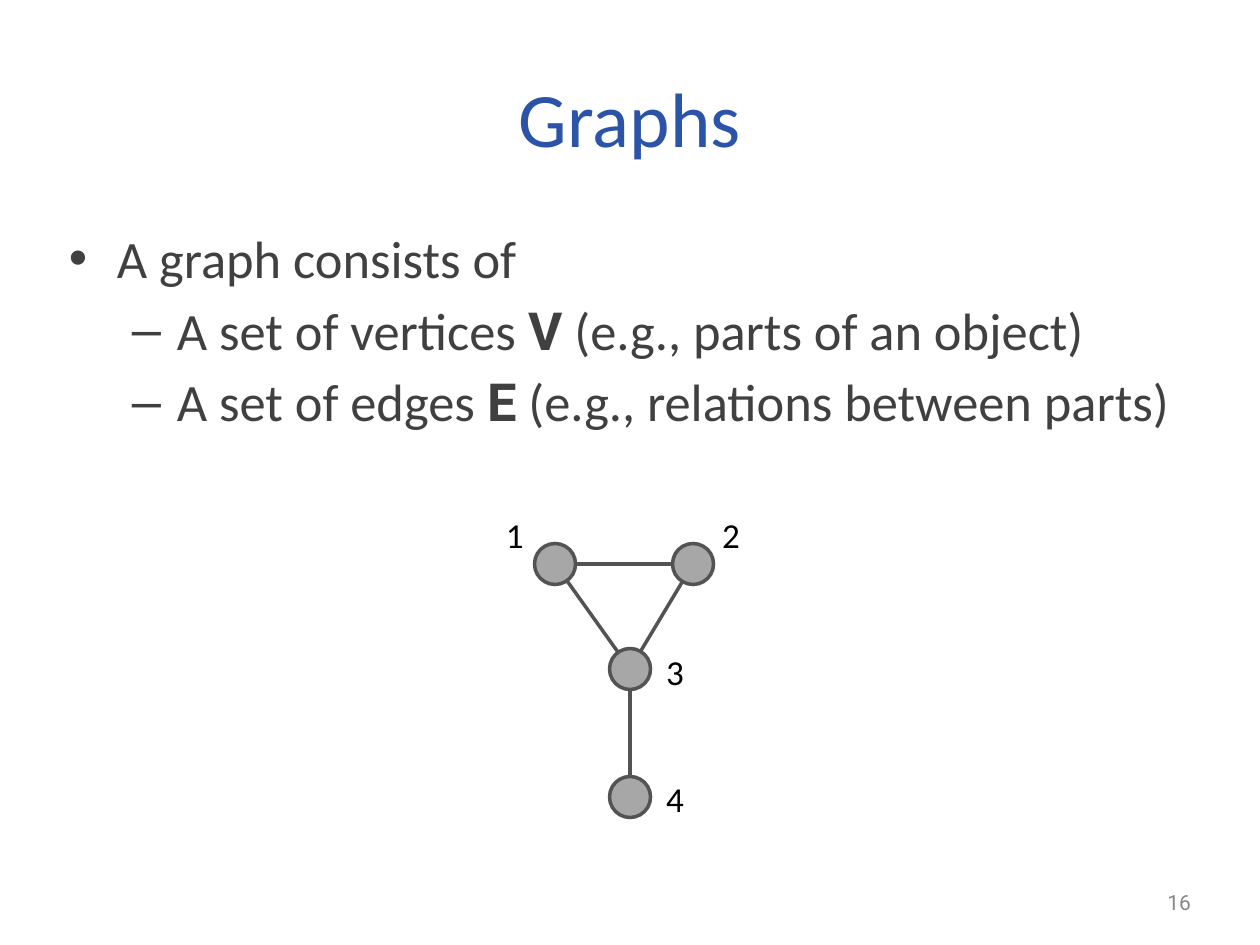
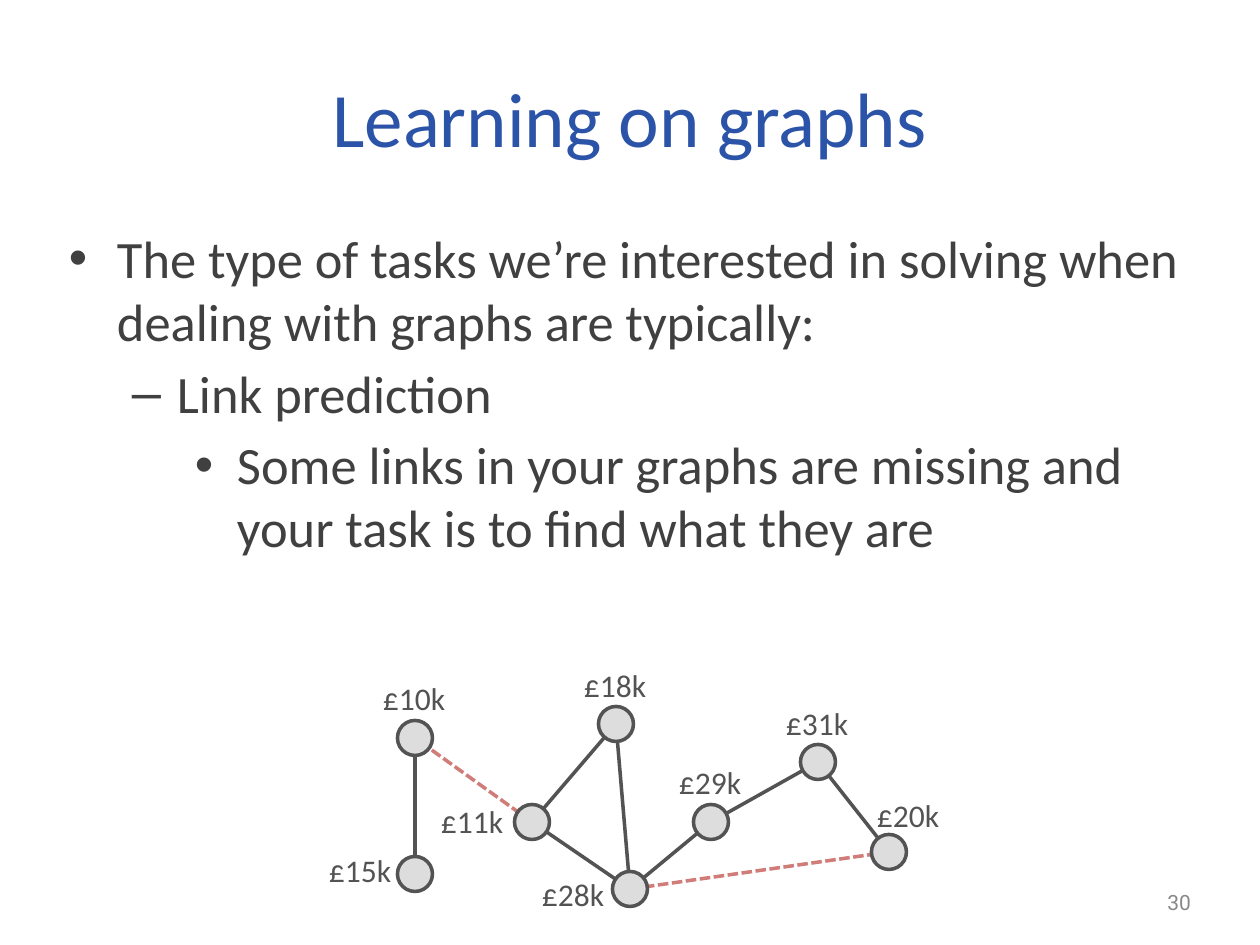
from lxml.etree import SubElement
from pptx import Presentation
from pptx.dml.color import RGBColor
from pptx.enum.dml import MSO_LINE
from pptx.enum.shapes import MSO_CONNECTOR, MSO_SHAPE
from pptx.enum.text import MSO_ANCHOR, PP_ALIGN
from pptx.oxml.ns import qn
from pptx.util import Pt

SCALE = 914400 / 126  # EMU in one px
COLORS = {
    "title": "2B53A8", "body": "404040", "page": "888888", "black": "000000",
    "edge": "535353", "missing": "D07C79", "dark": "A7A7A7", "light": "DDDDDD",
}
# bullet, left margin and hanging indent of each level
LEVELS = [("•", 48, 48), ("–", 108, 45), ("•", 168, 42)]

# nodes: label, centre x and y, label left and top
# edges: the two nodes, by label; "gaps" are the missing links
SLIDES = [
    {
        "title": "Graphs", "page": "16",
        "body": [
            (0, "A graph consists of"),
            (1, "A set of vertices *V* (e.g., parts of an object)"),
            (1, "A set of edges *E* (e.g., relations between parts)"),
        ],
        "nodes": [
            ("1", 555, 564, 500, 507), ("2", 693, 564, 716, 507),
            ("3", 630, 669, 660, 644), ("4", 630, 797, 660, 771),
        ],
        "edges": [("1", "3"), ("2", "3"), ("4", "3"), ("1", "2")],
        "gaps": [],
        "size": 41, "fill": "dark",
        "label": (32, 47, 20, "black"),
    },
    {
        "title": "Learning on graphs", "page": "30",
        "body": [
            (0, "The type of tasks we’re interested in solving when "
                "dealing with graphs are typically:"),
            (1, "Link prediction"),
            (2, "Some links in your graphs are missing and your task "
                "is to find what they are"),
        ],
        "nodes": [
            ("£10k", 415, 738, 377, 673), ("£11k", 532, 822, 435, 796),
            ("£18k", 616, 724, 578, 660), ("£29k", 711, 822, 673, 757),
            ("£31k", 818, 762, 780, 698), ("£15k", 415, 874, 323, 845),
            ("£28k", 630, 889, 536, 869), ("£20k", 889, 852, 871, 790),
        ],
        "edges": [
            ("£20k", "£31k"), ("£29k", "£31k"), ("£28k", "£18k"),
            ("£28k", "£11k"), ("£28k", "£29k"), ("£11k", "£18k"),
            ("£15k", "£10k"),
        ],
        "gaps": [("£11k", "£10k"), ("£28k", "£20k")],
        "size": 35, "fill": "light",
        "label": (77, 45, 18, "edge"),
    },
]


def px(*nums):
    """Turn px into EMU."""
    return [round(n * SCALE) for n in nums]


def add_text(slide, box, text, size, color, font="Calibri", align=PP_ALIGN.LEFT,
             anchor=MSO_ANCHOR.TOP, wrap=True):
    frame = slide.shapes.add_textbox(*px(*box)).text_frame
    frame.word_wrap = wrap
    frame.vertical_anchor = anchor
    frame.margin_left, frame.margin_top, frame.margin_right, frame.margin_bottom = px(6, 6, 6, 6)
    frame.text = text
    for par in frame.paragraphs:
        par.alignment = align
        for run in par.runs:
            run.font.size = Pt(size)
            run.font.name = font
            run.font.color.rgb = RGBColor.from_string(COLORS[color])
    return frame


deck = Presentation()
deck.slide_width, deck.slide_height = px(1260, 945)

for data in SLIDES:
    slide = deck.slides.add_slide(deck.slide_layouts[6])
    add_text(slide, (63, 38, 1134, 157), data["title"], 44, "title",
             align=PP_ALIGN.CENTER, anchor=MSO_ANCHOR.MIDDLE)

    # Body text, with the starred words in bold
    lines = "\n".join(text.replace("*", "") for level, text in data["body"])
    frame = add_text(slide, (63, 220, 1134, 624), lines, 30, "body")
    for par, (level, text) in zip(frame.paragraphs, data["body"]):
        mark, left, hang = LEVELS[level]
        par.level = level
        par.space_before = Pt(5)
        props = par._p.get_or_add_pPr()
        props.set("marL", str(px(left)[0]))
        props.set("indent", str(px(-hang)[0]))
        SubElement(props, qn("a:buFont")).set("typeface", "Arial")
        SubElement(props, qn("a:buChar")).set("char", mark)
        parts = text.split("*")
        par.runs[0].text = parts[0]
        for num, part in enumerate(parts[1:], 1):
            run = par.add_run()
            run.text = part
            run.font.size = Pt(30)
            run.font.bold = num % 2 == 1
            run.font.name = "Roboto" if run.font.bold else "Calibri"
            run.font.color.rgb = RGBColor.from_string(COLORS["body"])

    # Edges run between node centres, behind the nodes
    spots = {name: (x, y) for name, x, y, *rest in data["nodes"]}
    for kind, pairs in (("missing", data["gaps"]), ("edge", data["edges"])):
        for start, end in pairs:
            edge = slide.shapes.add_connector(
                MSO_CONNECTOR.STRAIGHT, *px(*spots[start], *spots[end]))
            edge.line.width = Pt(2)
            edge.line.color.rgb = RGBColor.from_string(COLORS[kind])
            if kind == "missing":
                edge.line.dash_style = MSO_LINE.SQUARE_DOT
            SubElement(edge._element.spPr, qn("a:effectLst"))

    size = data["size"]
    wide, high, points, color = data["label"]
    for name, x, y, left, top in data["nodes"]:
        node = slide.shapes.add_shape(
            MSO_SHAPE.OVAL, *px(x - size / 2, y - size / 2, size, size))
        node.shadow.inherit = False
        node.fill.solid()
        node.fill.fore_color.rgb = RGBColor.from_string(COLORS[data["fill"]])
        node.line.color.rgb = RGBColor.from_string(COLORS["edge"])
        node.line.width = Pt(2)
        add_text(slide, (left, top, wide, high), name, points, color, wrap=False)

    add_text(slide, (903, 885, 294, 34), data["page"], 12, "page", font="Roboto",
             align=PP_ALIGN.RIGHT, anchor=MSO_ANCHOR.MIDDLE)

deck.save("out.pptx")
